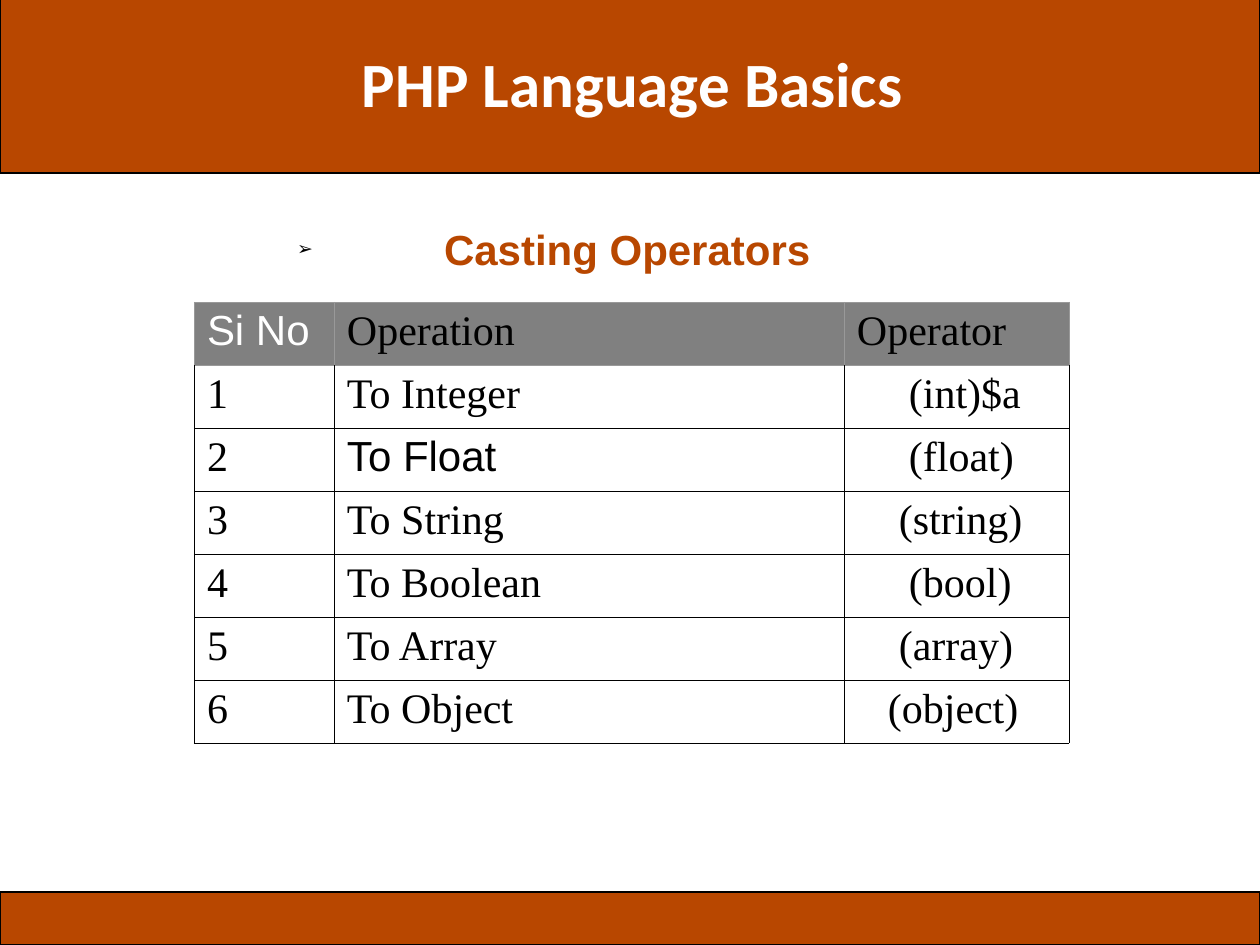
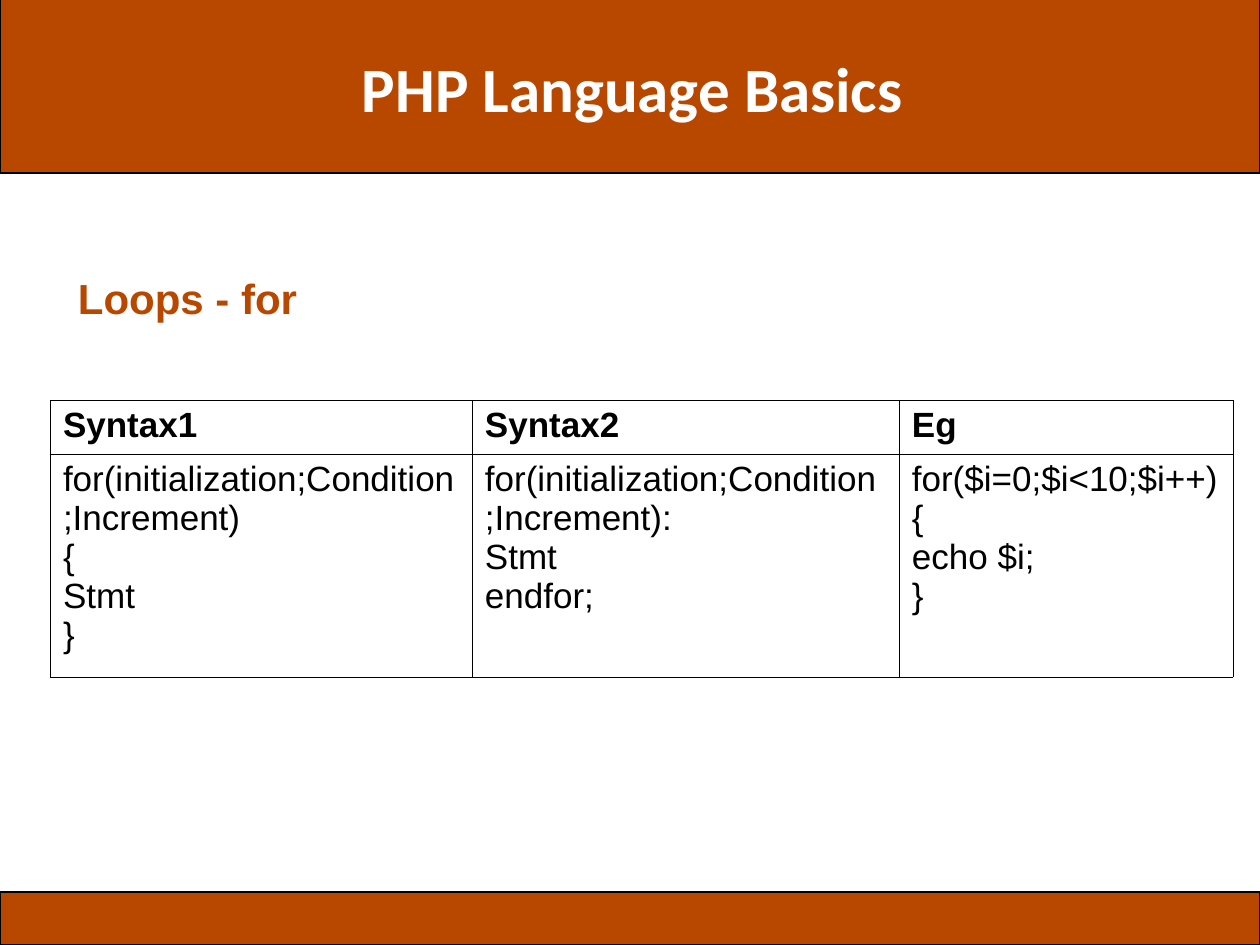
"""Build two PHP basics slides: casting operators and the for loop."""
from lxml import etree
from pptx import Presentation
from pptx import util as u
from pptx.dml.color import RGBColor
from pptx.enum import shapes, text
from pptx.oxml import ns

RUST = RGBColor(0xB8, 0x47, 0x00)
WHITE = RGBColor(0xFF, 0xFF, 0xFF)
BLACK = RGBColor(0x00, 0x00, 0x00)
GRAY = RGBColor(0x80, 0x80, 0x80)
SILVER = RGBColor(0x99, 0x99, 0x99)
SANS, SERIF, TITLE_FONT = "Arial", "Times New Roman", "Calibri"
PX_PER_INCH = 126
SLIDE_W, SLIDE_H = 1260, 945
INSET_X, INSET_Y = 13, 6


def px(length):
    return u.Emu(round(length * u.Inches(1) / PX_PER_INCH))


def child(parent, tag, **attributes):
    return etree.SubElement(parent, ns.qn(tag), attributes)


class Deck:
    """Holds the shared style and the slide being drawn."""

    def __init__(self):
        self.presentation = Presentation()
        self.presentation.slide_width = px(SLIDE_W)
        self.presentation.slide_height = px(SLIDE_H)
        self.slide = None

    def new_slide(self, title, title_top):
        blank = self.presentation.slide_layouts[6]
        self.slide = self.presentation.slides.add_slide(blank)
        self.band(-25, 198)
        self.band(892, 53)
        heading = self.label(title, 248, title_top, 769, 73, 36, TITLE_FONT, WHITE,
                             anchor=text.MSO_ANCHOR.MIDDLE)
        heading.alignment = text.PP_ALIGN.CENTER
        heading.line_spacing = 0.93

    def band(self, top, height):
        band = self.slide.shapes.add_shape(
            shapes.MSO_SHAPE.RECTANGLE, 0, px(top), px(SLIDE_W), px(height))
        band.shadow.inherit = False
        band.fill.solid()
        band.fill.fore_color.rgb = RUST
        band.line.color.rgb = BLACK
        band.line.width = u.Pt(1)

    def style(self, paragraph, size, font, color, bold=False):
        paragraph.font.size = u.Pt(size)
        paragraph.font.name = font
        paragraph.font.color.rgb = color
        paragraph.font.bold = bold

    def label(self, words, left, top, width, height, size, font, color,
              indent=0, bullet_gap=0, anchor=text.MSO_ANCHOR.TOP):
        box = self.slide.shapes.add_textbox(px(left), px(top), px(width), px(height))
        frame = box.text_frame
        frame.word_wrap = True
        frame.vertical_anchor = anchor
        frame.margin_left = frame.margin_right = 0
        frame.margin_top = frame.margin_bottom = 0
        paragraph = frame.paragraphs[0]
        paragraph.text = words
        properties = paragraph._p.get_or_add_pPr()
        properties.set("marL", str(px(indent)))
        properties.set("indent", str(px(-bullet_gap)))
        if bullet_gap:
            child(child(properties, "a:buClr"), "a:srgbClr", val=str(BLACK))
            child(properties, "a:buSzPct", val="45000")
            child(properties, "a:buFont", typeface=SANS)
            child(properties, "a:buChar", char="➢")
        self.style(paragraph, size, font, color, bold=True)
        return paragraph

    def table(self, left, top, widths, heights):
        frame = self.slide.shapes.add_table(
            len(heights), len(widths), px(left), px(top), px(sum(widths)), px(sum(heights)))
        grid = frame.table
        grid.first_row = grid.horz_banding = False
        for column, width in zip(grid.columns, widths):
            column.width = px(width)
        for row, height in zip(grid.rows, heights):
            row.height = px(height)
        return grid

    def cell(self, cell, words, size, font, color=BLACK, bold=False, indent=0,
             fill=None, border=BLACK, top_border=None):
        cell.margin_left = px(INSET_X + indent)
        cell.margin_right = px(INSET_X)
        cell.margin_top = cell.margin_bottom = px(INSET_Y)
        properties = cell._tc.get_or_add_tcPr()
        for side in "LRTB":
            edge = child(properties, f"a:ln{side}", w=str(u.Pt(0.06)))
            edge_color = top_border if side == "T" and top_border else border
            child(child(edge, "a:solidFill"), "a:srgbClr", val=str(edge_color))
        if fill:
            cell.fill.solid()
            cell.fill.fore_color.rgb = fill
        else:
            cell.fill.background()
        cell.text_frame.text = words
        for paragraph in cell.text_frame.paragraphs:
            self.style(paragraph, size, font, color, bold)


def casting_slide(deck):
    deck.new_slide("PHP Language Basics", 50)
    deck.label("Casting Operators", 30, 224, 1167, 48, 24, SANS, RUST,
               indent=414, bullet_gap=147)
    casts = [("To Integer", "(int)$a", 52), ("To Float", "(float)", 52),
             ("To String", "(string)", 42), ("To Boolean", "(bool)", 52),
             ("To Array", "(array)", 42), ("To Object", "(object)", 31)]
    grid = deck.table(194, 302, [140, 510, 225], [63] * (len(casts) + 1))
    header = [("Si No", SANS, WHITE), ("Operation", SERIF, BLACK), ("Operator", SERIF, BLACK)]
    for column, (name, font, color) in enumerate(header):
        deck.cell(grid.cell(0, column), name, 24, font, color, fill=GRAY, border=SILVER)
    for number, (operation, operator, indent) in enumerate(casts, 1):
        top_border = SILVER if number == 1 else BLACK
        operation_font = SANS if operation == "To Float" else SERIF
        deck.cell(grid.cell(number, 0), str(number), 24, SERIF, top_border=top_border)
        deck.cell(grid.cell(number, 1), operation, 24, operation_font, top_border=top_border)
        deck.cell(grid.cell(number, 2), operator, 24, SERIF, indent=indent,
                  top_border=top_border)


def loop_slide(deck):
    deck.new_slide("PHP Language Basics", 55)
    heading = deck.label("Loops - for", 31, 277, 1159, 48, 24, SANS, RUST, indent=47)
    heading.line_spacing = 0.93
    forms = {
        "Syntax1": "for(initialization;Condition;Increment)\n{\nStmt\n}",
        "Syntax2": "for(initialization;Condition;Increment):\nStmt\nendfor;",
        "Eg": "for($i=0;$i<10;$i++)\n{\necho $i;\n}",
    }
    grid = deck.table(50, 400, [422, 427, 334], [54, 223])
    for column, (name, code) in enumerate(forms.items()):
        deck.cell(grid.cell(0, column), name, 20, SANS, bold=True)
        deck.cell(grid.cell(1, column), code, 20, SANS)


def main():
    deck = Deck()
    casting_slide(deck)
    loop_slide(deck)
    deck.presentation.save("out.pptx")


if __name__ == "__main__":
    main()
